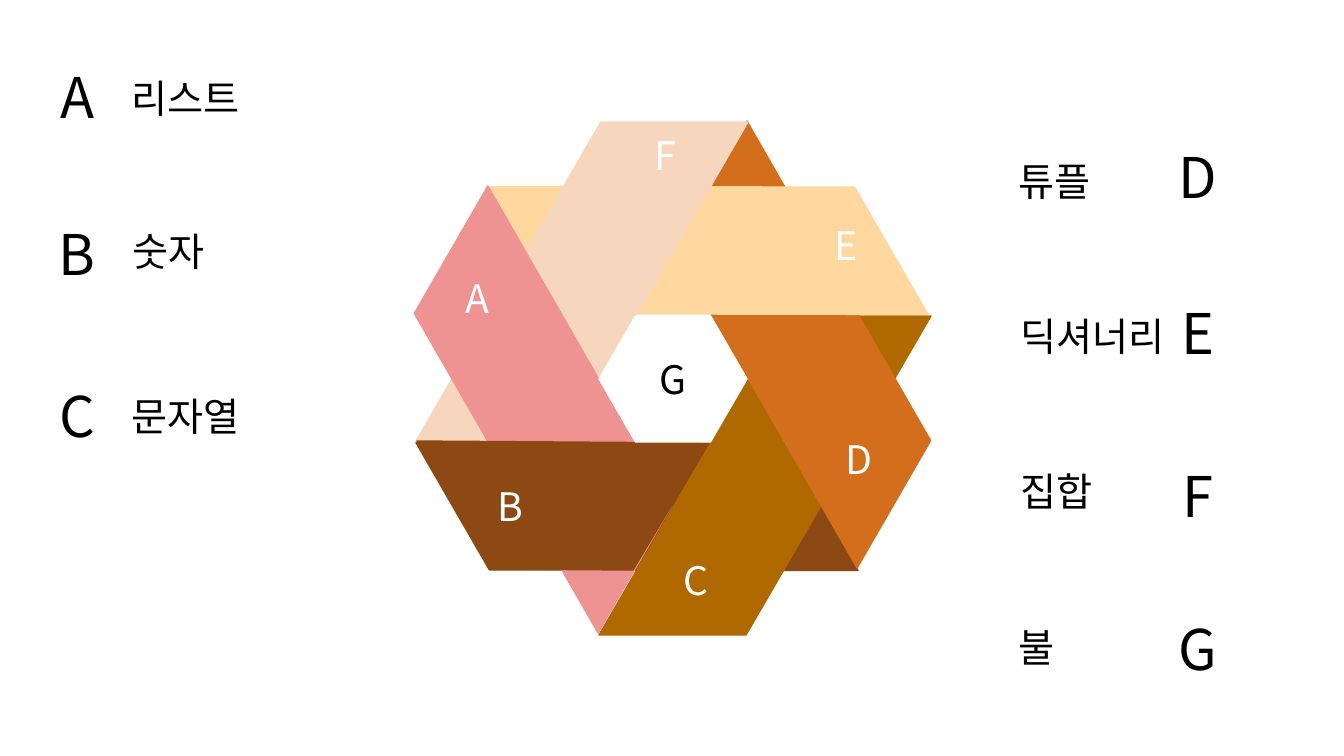
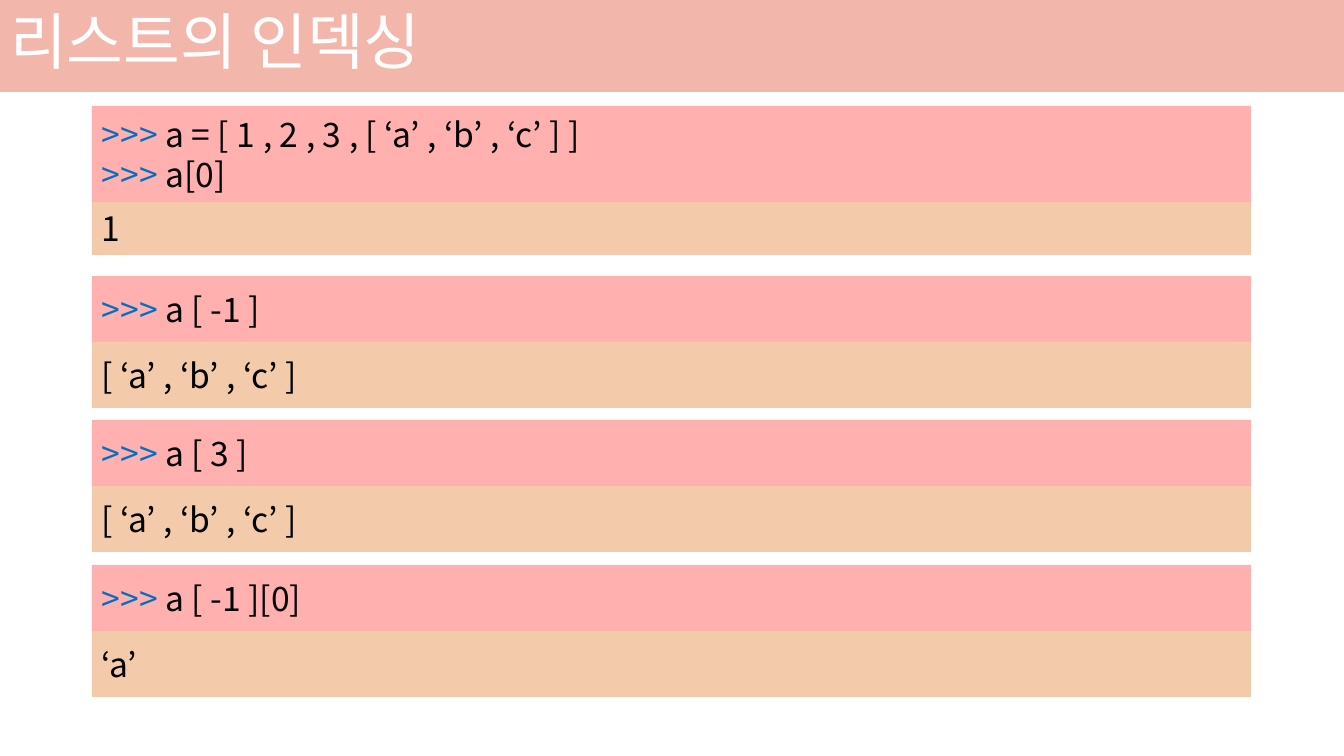
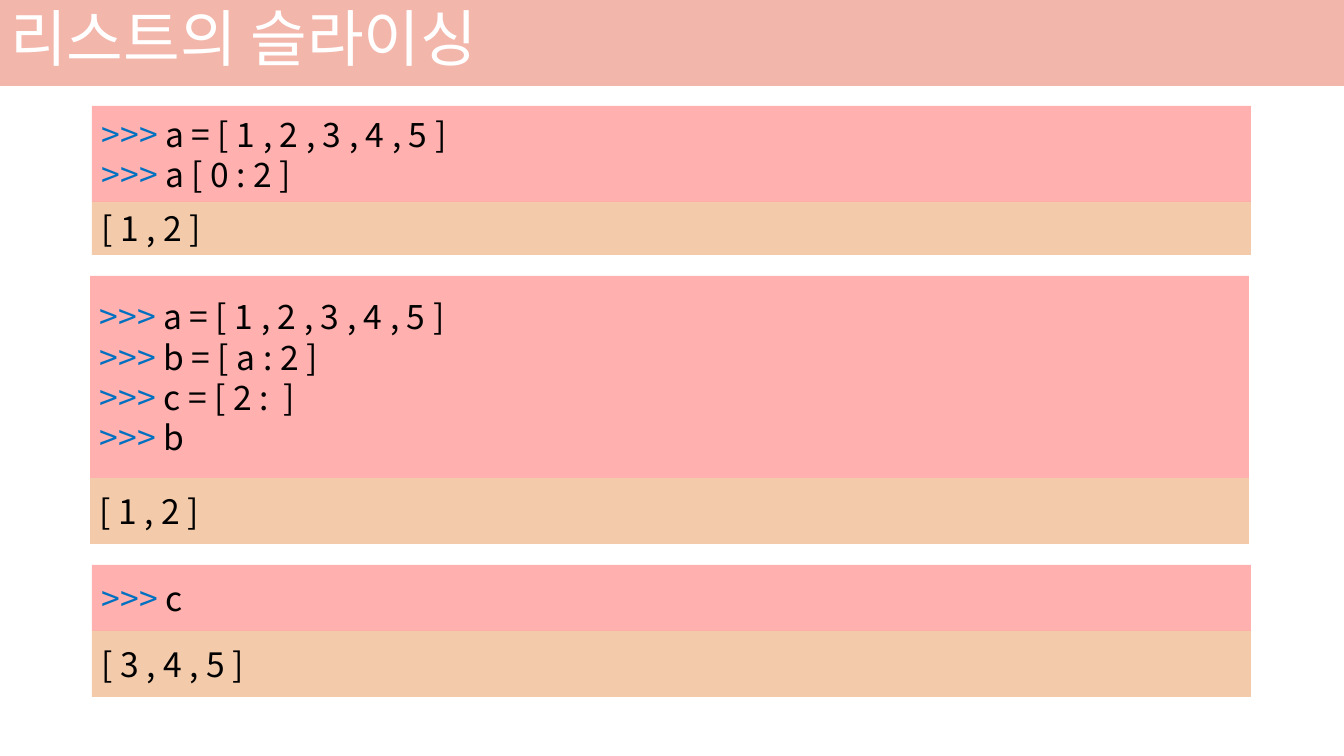
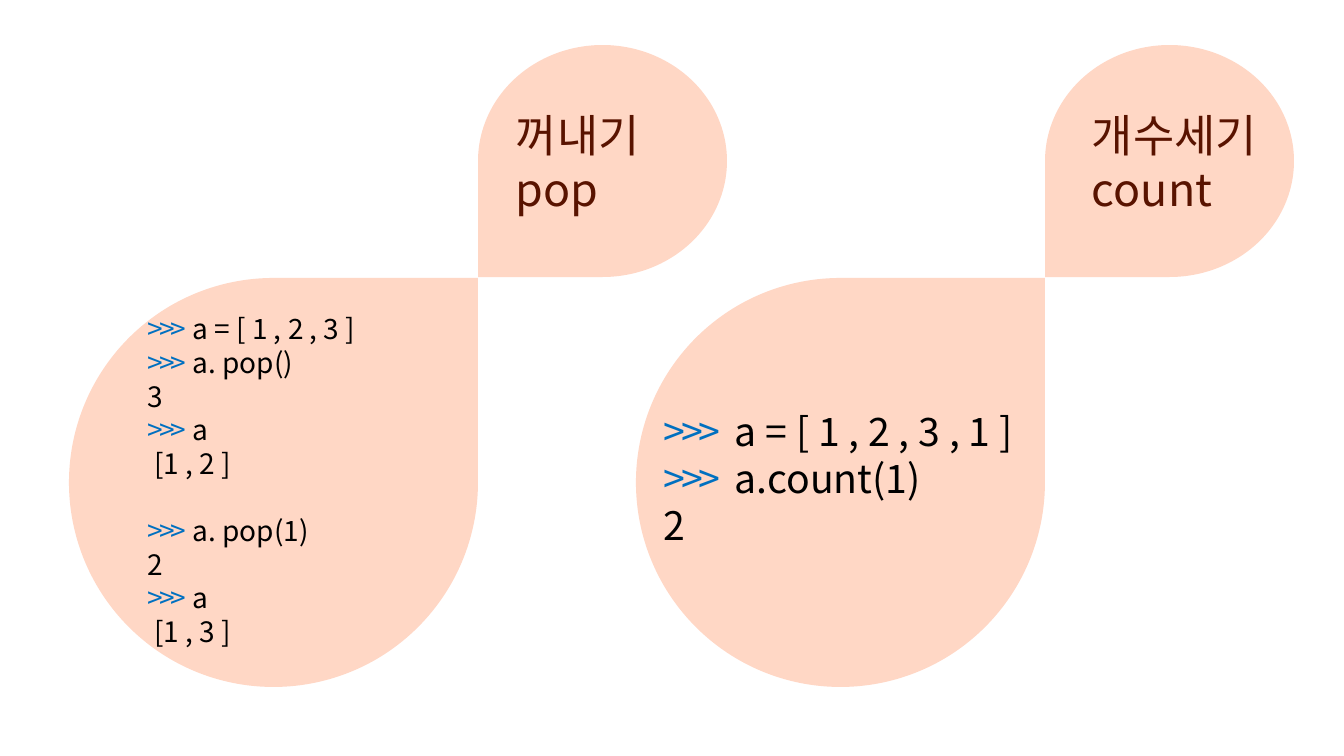
from dataclasses import dataclass
from typing import NamedTuple, Optional

from lxml.etree import SubElement
from pptx import Presentation
from pptx.dml.color import RGBColor
from pptx.enum.shapes import MSO_SHAPE
from pptx.enum.text import MSO_ANCHOR, MSO_AUTO_SIZE, PP_ALIGN
from pptx.oxml.ns import qn
from pptx.util import Emu, Pt

WIDE, HIGH = 1344, 756
SCALE = 12192000 / WIDE
FONT = "Noto Sans CJK KR"
PROMPT = ">>>"
HEX = {
    "black": "000000", "white": "FFFFFF", "blue": "0070C0", "wine": "591300",
    "band": "E86E58", "code": "FF6261", "result": "E89858", "drop": "FFD7C5",
    "A": "EE9292", "B": "8D4913", "C": "B06800",
    "D": "D36E1D", "E": "FFD8A0", "F": "F6D6BC",
}


class Box(NamedTuple):
    """A frame in px."""
    left: int
    top: int
    width: int
    height: int


class Spot(NamedTuple):
    """A text and the corner where it starts."""
    text: str
    left: int
    top: int


@dataclass
class Style:
    """How a text looks; tight, tab and gap serve prompt lines."""
    size: int
    tint: str = "black"
    align: PP_ALIGN = PP_ALIGN.LEFT
    tight: bool = False
    tab: int = 0
    gaps: tuple[int, ...] = ()


@dataclass
class Cell:
    """A block of code over its result."""
    top: int
    code: list[str]
    result: str
    high: int = 66
    low: int = 66
    left: int = 92


@dataclass
class Drop:
    """A pair of drops that meet at one point."""
    shift: int
    name: Spot
    code: list[str]
    frame: Box
    style: Style


def px(count: float) -> Emu:
    """Turn px into EMU."""
    return Emu(round(count * SCALE))


def rgb(tint: str) -> RGBColor:
    """Look up a colour."""
    return RGBColor.from_string(HEX[tint])


def place(shape, box: Box) -> None:
    """Move a shape into its frame."""
    shape.left, shape.top, shape.width, shape.height = map(px, box)


def paint(shape, tint: str, edge: bool = False, alpha: Optional[int] = None) -> None:
    """Fill a shape, with a line of the same colour or none."""
    shape.fill.solid()
    shape.fill.fore_color.rgb = rgb(tint)
    if alpha:
        color = shape.element.spPr.find(qn("a:solidFill"))[0]
        SubElement(color, qn("a:alpha")).set("val", str(alpha * 1000))
    if edge:
        shape.line.color.rgb = rgb(tint)
        shape.line.width = Pt(1)
    else:
        shape.line.fill.background()


def ink(run, size: int, tint: str) -> None:
    """Set font, size and colour of a run."""
    run.font.size = Pt(size)
    run.font.name = FONT
    run.font.color.rgb = rgb(tint)
    SubElement(run.font._element, qn("a:ea")).set("typeface", FONT)


def write(shape, lines: list[str], style: Style) -> None:
    """Write lines, with any prompt in blue."""
    frame = shape.text_frame
    frame.word_wrap = True
    for index, line in enumerate(lines):
        par = frame.add_paragraph() if index else frame.paragraphs[0]
        par.alignment = style.align
        if index in style.gaps:
            par.space_before = Pt(style.size * 1.2)
        if not line.startswith(PROMPT):
            par.text = line
            ink(par.runs[0], style.size, style.tint)
            continue
        rest = line.removeprefix(PROMPT)
        if style.tab:
            rest = "\t" + rest.lstrip()
            stops = SubElement(par._p.get_or_add_pPr(), qn("a:tabLst"))
            stop = SubElement(stops, qn("a:tab"))
            stop.set("pos", str(px(style.tab)))
            stop.set("algn", "l")
        par.text = PROMPT
        par.add_run().text = rest
        for run, tint in zip(par.runs, ("blue", style.tint)):
            ink(run, style.size, tint)
        if style.tight:
            par.runs[0].font._element.set("spc", "-300")


def label(slide, lines: list[str], box: Box, style: Style) -> None:
    """Add a text box."""
    shape = slide.shapes.add_textbox(*map(px, box))
    write(shape, lines, style)
    shape.text_frame.auto_size = MSO_AUTO_SIZE.SHAPE_TO_FIT_TEXT


def form(slide, kind: MSO_SHAPE, box: Box, tint: str, turn: int = 0,
         edge: bool = False, alpha: Optional[int] = None):
    """Add a flat shape."""
    shape = slide.shapes.add_shape(kind, *map(px, box))
    shape.shadow.inherit = False
    shape.rotation = turn
    paint(shape, tint, edge, alpha)
    return shape


def ring(deck) -> None:
    """Draw the woven ring of data types."""
    slide = deck.slides.add_slide(deck.slide_layouts[6])
    bars = [Spot("B", 471, 347), Spot("C", 599, 316), Spot("D", 636, 185),
            Spot("E", 541, 91), Spot("F", 416, 122), Spot("A", 377, 250)]
    for index, bar in enumerate(bars):
        shape = form(slide, MSO_SHAPE.PARALLELOGRAM, Box(bar.left, bar.top, 332, 319),
                     bar.text, (240 - 60 * index) % 360, True)
        shape.adjustments[0] = 0.58
    path = slide.shapes.build_freeform(633, 570, SCALE)
    path.add_line_segments([(491, 569), (417, 441), (709, 443)])
    fold = path.convert_to_shape()
    fold.shadow.inherit = False
    paint(fold, "B", True)

    mid = PP_ALIGN.CENTER
    marks = [Spot("A", 448, 269), Spot("B", 481, 477), Spot("C", 666, 551),
             Spot("D", 829, 430), Spot("E", 817, 216), Spot("F", 636, 126)]
    keys = [Spot("A", 43, 58), Spot("B", 43, 215), Spot("C", 43, 377),
            Spot("D", 1164, 138), Spot("E", 1164, 294), Spot("F", 1164, 457),
            Spot("G", 1164, 610)]
    names = [Spot("리스트", 122, 69), Spot("숫자", 123, 222), Spot("문자열", 122, 387),
             Spot("튜플", 1009, 152), Spot("딕셔너리", 1011, 307),
             Spot("집합", 1011, 462), Spot("불", 1009, 618)]
    groups = [(marks, 59, 57, Style(28, "white", mid)),
              (keys, 68, 78, Style(40, align=mid)),
              (names, 246, 57, Style(28))]
    for spots, width, height, style in groups:
        for spot in spots:
            label(slide, [spot.text], Box(spot.left, spot.top, width, height), style)

    core = form(slide, MSO_SHAPE.HEXAGON, Box(599, 316, 148, 126), "white", edge=True)
    core.adjustments[0] = 0.29
    core.text_frame.vertical_anchor = MSO_ANCHOR.MIDDLE
    write(core, ["G"], Style(28, align=mid))


def lesson(deck, head: str, height: int, cells: list[Cell]) -> None:
    """Build a titled slide of code and results."""
    slide = deck.slides.add_slide(deck.slide_layouts[5])
    title = slide.shapes.title
    place(title, Box(0, -3, WIDE, height))
    paint(title, "band", alpha=50)
    write(title, [head], Style(44, "white"))
    title.text_frame.auto_size = MSO_AUTO_SIZE.NONE
    title.text_frame.vertical_anchor = MSO_ANCHOR.MIDDLE
    title.text_frame.paragraphs[0].line_spacing = 0.9
    for cell in cells:
        rows = [(cell.top, cell.high, "code", cell.code),
                (cell.top + cell.high, cell.low, "result", [cell.result])]
        for top, high, tint, lines in rows:
            shape = form(slide, MSO_SHAPE.RECTANGLE,
                         Box(cell.left, top, 1159, high), tint, alpha=50)
            shape.text_frame.vertical_anchor = MSO_ANCHOR.MIDDLE
            write(shape, lines, Style(24))


def drops(deck, pairs: list[Drop]) -> None:
    """Draw list methods in pairs of drops."""
    slide = deck.slides.add_slide(deck.slide_layouts[6])
    for pair in pairs:
        form(slide, MSO_SHAPE.TEAR, Box(69 + pair.shift, 278, 409, 409), "drop")
        form(slide, MSO_SHAPE.TEAR, Box(478 + pair.shift, 45, 249, 232), "drop", 180)
        name = pair.name
        label(slide, name.text.split("\n"), Box(name.left, name.top, 192, 119),
              Style(32, "wine"))
        label(slide, pair.code, pair.frame, pair.style)


def main() -> None:
    """Build and save the deck."""
    deck = Presentation()
    deck.slide_width, deck.slide_height = px(WIDE), px(HIGH)
    ring(deck)
    lesson(deck, "리스트의 인덱싱", 95, [
        Cell(106, [">>> a = [ 1 , 2 , 3 , [ ‘a’ , ‘b’ , ‘c’ ] ]", ">>> a[0]"],
             "1", 96, 53),
        Cell(276, [">>> a [ -1 ]"], "[ ‘a’ , ‘b’ , ‘c’ ]"),
        Cell(420, [">>> a [ 3 ]"], "[ ‘a’ , ‘b’ , ‘c’ ]"),
        Cell(565, [">>> a [ -1 ][0]"], "‘a’"),
    ])
    lesson(deck, "리스트의 슬라이싱", 89, [
        Cell(106, [">>> a = [ 1 , 2 , 3 , 4 , 5 ]", ">>> a [ 0 : 2 ]"],
             "[ 1 , 2 ]", 96, 53),
        Cell(276, [">>> a = [ 1 , 2 , 3 , 4 , 5 ]", ">>> b = [ a : 2 ]",
                   ">>> c = [ 2 :  ]", ">>> b"], "[ 1 , 2 ]", 202, left=90),
        Cell(565, [">>> c"], "[ 3 , 4 , 5 ]"),
    ])
    drops(deck, [
        Drop(0, Spot("꺼내기\npop", 506, 103),
             [">>> a = [ 1 , 2 , 3 ]", ">>> a. pop()", "3", ">>> a", " [1 , 2 ]",
              ">>> a. pop(1)", "2", ">>> a", " [1 , 3 ]"],
             Box(138, 307, 358, 350), Style(20, tight=True, gaps=(5,))),
        Drop(567, Spot("개수세기\ncount", 1082, 103),
             [">>> a = [ 1 , 2 , 3 , 1 ]", ">>> a.count(1)", "2"],
             Box(654, 402, 409, 152), Style(28, tight=True, tab=71)),
    ])
    deck.save("out.pptx")


if __name__ == "__main__":
    main()
